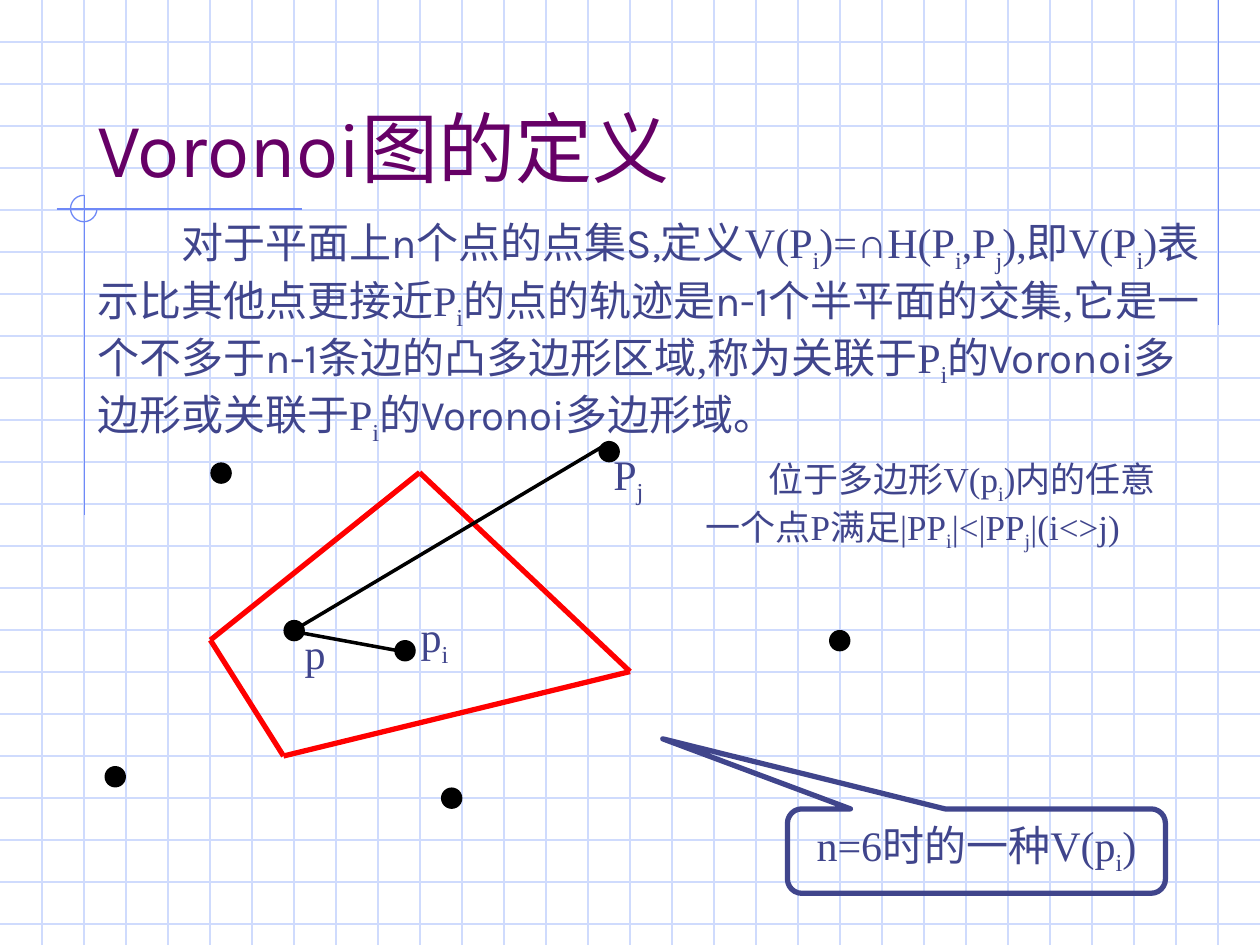
from itertools import pairwise

from lxml import etree
from pptx import Presentation
from pptx.dml.color import RGBColor
from pptx.enum.shapes import MSO_CONNECTOR, MSO_SHAPE
from pptx.enum.text import MSO_ANCHOR, MSO_AUTO_SIZE, PP_ALIGN
from pptx.oxml.ns import qn
from pptx.util import Inches, Pt

STRAIGHT = MSO_CONNECTOR.STRAIGHT
OVAL, ARC = MSO_SHAPE.OVAL, MSO_SHAPE.ARC
CALLOUT = MSO_SHAPE.ROUNDED_RECTANGULAR_CALLOUT
TOP, BOTTOM = MSO_ANCHOR.TOP, MSO_ANCHOR.BOTTOM
LEFT, CENTER = PP_ALIGN.LEFT, PP_ALIGN.CENTER
NO_FIT = MSO_AUTO_SIZE.NONE
SERIF, SANS = "Times New Roman", "Karla"
GRID, ACCENT, INK, PURPLE = "CFDBFD", "6F89F7", "40458C", "660066"
RED, BLACK = "FF0000", "000000"
WIDTH, HEIGHT = 10, 7.5

# Backquotes enclose sans words, carets enclose subscripts.
DEFINITION = (
    "对于平面上`n`个点的点集`S,`定义V(P^i^)=∩H(P^i^,P^j^),即V(P^i^)表示比其他点更接近P^i^"
    "的点的轨迹是`n-1`个半平面的交集,它是一个不多于`n-1`条边的凸多边形区域,称为关联于P^i^"
    "的`Voronoi`多边形或关联于P^i^的`Voronoi`多边形域。"
).replace(",即", ",即").replace("集,", "集,").replace("域,", "域,")
PROPERTY = "位于多边形V(p^i^)内的任意一个点P满足|PP^i^|<|PP^j^|(i<>j)"


def color(value):
    """Turn a hex string into a colour."""
    return RGBColor.from_string(value)


def apply(target, values):
    """Set each named attribute on the target."""
    for name, value in values.items():
        setattr(target, name, value)


def place(shape, box):
    """Move a shape to a box given in inches."""
    apply(shape, dict(zip(("left", "top", "width", "height"), map(Inches, box))))


def outline(shape, hex_color, points):
    """Give a shape or connector a solid line."""
    shape.line.color.rgb = color(hex_color)
    shape.line.width = Pt(points)


def add_line(slide, start, end, hex_color, points):
    """Draw a straight line without shadow."""
    line = slide.shapes.add_connector(STRAIGHT, *map(Inches, (*start, *end)))
    outline(line, hex_color, points)
    etree.SubElement(line.element.spPr, qn("a:effectLst"))


def add_plain_shape(slide, kind, box):
    """Add a preset shape without fill or shadow."""
    shape = slide.shapes.add_shape(kind, *map(Inches, box))
    shape.shadow.inherit = False
    shape.fill.background()
    return shape


def write(shape, text, size, hex_color=INK, font=SERIF, align=LEFT, anchor=TOP,
          wrap=True, indent=0, before=0):
    """Fill a shape with one paragraph of marked-up text."""
    frame = shape.text_frame
    apply(frame, {
        "word_wrap": wrap, "auto_size": NO_FIT, "vertical_anchor": anchor,
        "margin_left": Inches(0.1), "margin_right": Inches(0.1),
        "margin_top": Inches(0.05), "margin_bottom": Inches(0.05),
    })
    paragraph = frame.paragraphs[0]
    apply(paragraph, {"alignment": align, "space_before": Pt(before)})
    properties = paragraph._p.get_or_add_pPr()
    properties.set("marL", "0")
    properties.set("indent", str(Inches(indent)))
    etree.SubElement(properties, qn("a:buNone"))
    for part_number, part in enumerate(text.split("`")):
        for piece_number, piece in enumerate(part.split("^")):
            if not piece:
                continue
            run = paragraph.add_run()
            run.text = piece
            apply(run.font, {"name": SANS if part_number % 2 else font,
                             "size": Pt(size)})
            run.font.color.rgb = color(hex_color)
            if piece_number % 2:
                run._r.get_or_add_rPr().set("baseline", "-25000")


def add_label(slide, box, text, size=24, **options):
    """Add a text box."""
    write(slide.shapes.add_textbox(*map(Inches, box)), text, size, **options)


def draw_background(slide):
    """Draw the grid paper and its accent lines."""
    for step in range(1, 23):
        add_line(slide, (0, step / 3), (WIDTH, step / 3), GRID, 0.74)
    for step in range(1, 30):
        add_line(slide, (step / 3, 0), (step / 3, HEIGHT), GRID, 0.74)
    for start, end in (((9.67, 0), (9.67, 2.58)), ((0.45, 1.66), (2.4, 1.66)),
                       ((0.67, 1.55), (0.67, 4.09))):
        add_line(slide, start, end, ACCENT, 0.74)
    arc = add_plain_shape(slide, ARC, (0.56, 1.55, 0.21, 0.21))
    arc.adjustments[0], arc.adjustments[1] = 0, 162  # 0 to 270 degrees
    outline(arc, ACCENT, 0.74)


def fill_placeholders(slide):
    """Write the title and definition above the grid."""
    title, body = slide.shapes.title, slide.placeholders[1]
    place(title, (0.67, 0.33, 8.5, 1.25))
    write(title, "Voronoi图的定义", 44, PURPLE, SANS, anchor=BOTTOM)
    place(body, (0.67, 1.67, 9, 1.87))
    write(body, DEFINITION, 24, indent=0.67, before=6)
    for placeholder in (title, body):
        slide.shapes.element.append(placeholder.element)


def draw_diagram(slide, left, top):
    """Draw the sites, the cell and the distances from p."""
    def at(x, y):
        return left + x, top + y

    size = 0.17
    for x, y in ((2.3, 1.58), (0.84, 0.17), (0, 2.58), (2.67, 2.75),
                 (3.92, 0), (5.75, 1.5), (1.42, 1.42)):
        dot = add_plain_shape(slide, OVAL, (*at(x, y), size, size))
        dot.fill.solid()
        dot.fill.fore_color.rgb = color(BLACK)
        dot.line.fill.background()
    corners = [at(*corner) for corner in
               ((0.84, 1.58), (2.5, 0.25), (4.17, 1.83), (1.42, 2.5))]
    for start, end in pairwise(corners + corners[:1]):
        add_line(slide, start, end, RED, 3)
    for end in ((4.01, 0.01), (2.36, 1.67)):
        add_line(slide, at(1.49, 1.51), at(*end), BLACK, 2)
    for x, y, width, height, text in ((2.41, 1.3, 0.42, 0.56, "p^i^"),
                                      (1.49, 1.43, 0.36, 0.5, "p"),
                                      (3.94, 0.01, 0.44, 0.56, "P^j^")):
        add_label(slide, (*at(x, y), width, height), text, wrap=False)


def draw_callout(slide, box):
    """Draw the callout that points at the cell."""
    callout = add_plain_shape(slide, CALLOUT, box)
    for index, value in enumerate((-0.83, -1.33, 0.17)):
        callout.adjustments[index] = value
    outline(callout, INK, 3)
    write(callout, "n=6时的一种V(p^i^)", 24, align=CENTER)


def main():
    """Build and save the slide."""
    presentation = Presentation()
    apply(presentation, {"slide_width": Inches(WIDTH),
                         "slide_height": Inches(HEIGHT)})
    slide = presentation.slides.add_slide(presentation.slide_layouts[1])
    draw_background(slide)
    fill_placeholders(slide)
    draw_diagram(slide, 0.83, 3.5)
    draw_callout(slide, (6.25, 6.42, 3, 0.67))
    add_label(slide, (5.5, 3.58, 4, 0.86), PROPERTY, 20, indent=0.5)
    presentation.save("out.pptx")


main()
